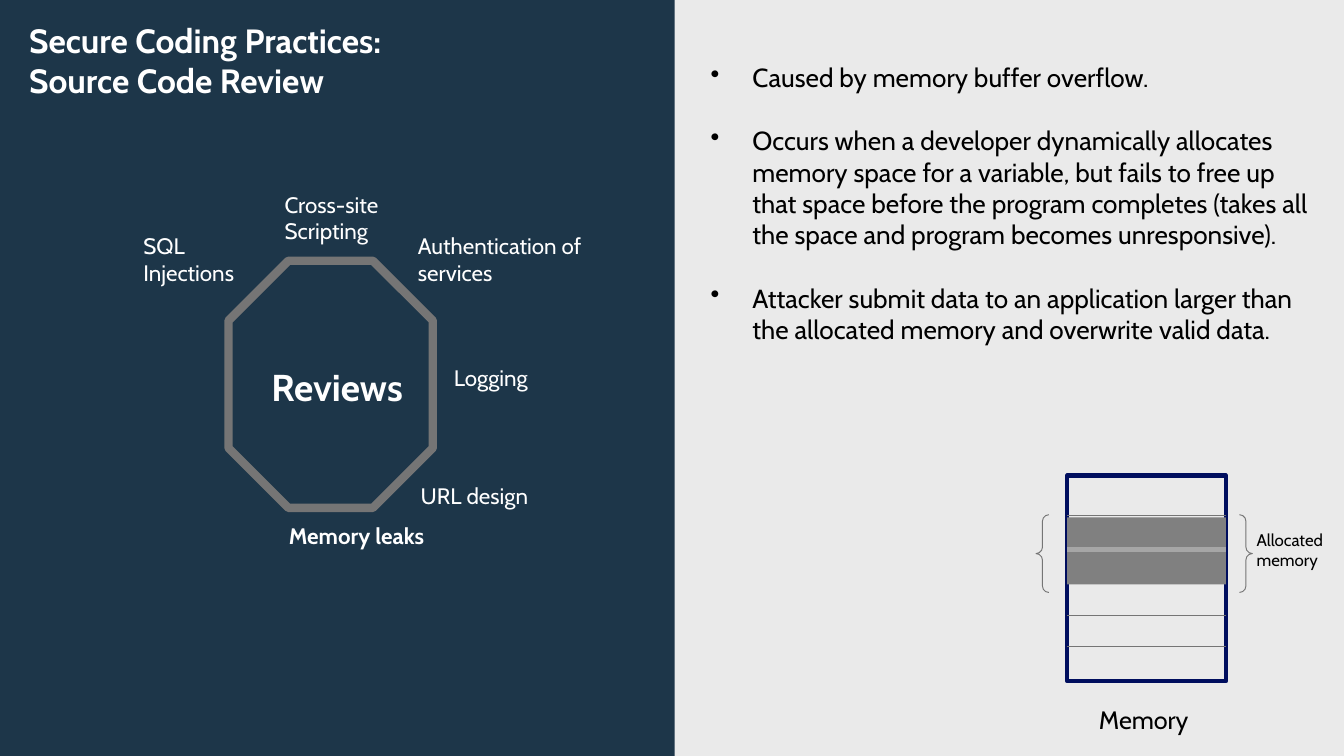
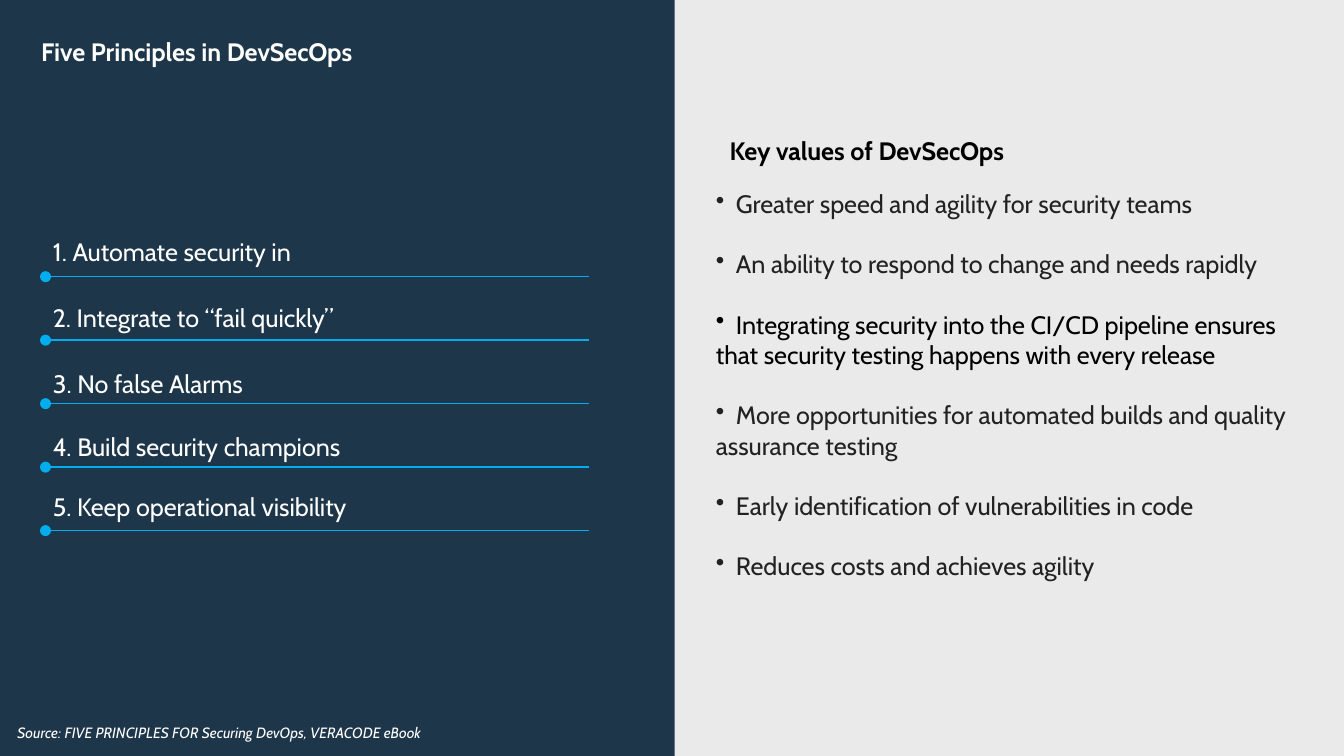
from lxml.etree import SubElement
from pptx import Presentation
from pptx.dml.color import RGBColor
from pptx.enum.shapes import MSO_CONNECTOR, MSO_SHAPE
from pptx.enum.text import MSO_ANCHOR, PP_ALIGN
from pptx.oxml.ns import qn
from pptx.util import Cm, Pt

FONT = "Cabin"
NAVY = RGBColor(0x1D, 0x36, 0x49)
PALE = RGBColor(0xEA, 0xEA, 0xEA)
WHITE = RGBColor(0xFF, 0xFF, 0xFF)
BLACK = RGBColor(0x00, 0x00, 0x00)
INK = RGBColor(0x22, 0x22, 0x22)
GREY = RGBColor(0x75, 0x75, 0x75)
BLOCK_GREY = RGBColor(0x80, 0x80, 0x80)
LIGHT_GREY = RGBColor(0xA6, 0xA6, 0xA6)
FRAME_BLUE = RGBColor(0x00, 0x0E, 0x5E)
CYAN = RGBColor(0x00, 0xAE, 0xEF)

SLIDE_W, SLIDE_H, PANEL_W = 25.4, 14.29, 12.75
MEMORY_X, MEMORY_W = 20.17, 3


def add_run(p, text, size, color, bold=False, italic=False):
    r = p.add_run()
    r.text = text
    r.font.name = FONT
    r.font.size = Pt(size)
    r.font.color.rgb = color
    r.font.bold = bold
    r.font.italic = italic


def add_frame(s, x, y, w, h, wrap=True):
    tf = s.shapes.add_textbox(Cm(x), Cm(y), Cm(w), Cm(h)).text_frame
    tf.word_wrap = wrap
    return tf


def add_text(s, x, y, w, h, text, size, color, bold=False, italic=False, wrap=True):
    tf = add_frame(s, x, y, w, h, wrap)
    add_run(tf.paragraphs[0], text, size, color, bold, italic)


def add_bullets(s, x, y, w, h, items, size, gap, hang=0, tab=0):
    tf = add_frame(s, x, y, w, h)
    for i, (text, color) in enumerate(items):
        p = tf.add_paragraph() if i else tf.paragraphs[0]
        if i:
            p.space_before = Pt(gap)
        pPr = p._p.get_or_add_pPr()
        pPr.set("marL", str(Cm(hang)))
        pPr.set("indent", str(-Cm(hang)))
        SubElement(pPr, qn("a:buChar"), char="•")
        if tab:
            tabs = SubElement(pPr, qn("a:tabLst"))
            SubElement(tabs, qn("a:tab"), pos=str(Cm(tab)), algn="l")
        add_run(p, "\t" + text if tab else text, size, color)


def add_box(s, kind, x, y, w, h, fill=None, line=None, width=1):
    sp = s.shapes.add_shape(kind, Cm(x), Cm(y), Cm(w), Cm(h))
    sp.shadow.inherit = False
    if fill is None:
        sp.fill.background()
    else:
        sp.fill.solid()
        sp.fill.fore_color.rgb = fill
    if line is None:
        sp.line.fill.background()
    else:
        sp.line.color.rgb = line
        sp.line.width = Pt(width)
    return sp


def add_rule(s, x, y, w, color, width, dot=False):
    rule = s.shapes.add_connector(MSO_CONNECTOR.STRAIGHT, Cm(x), Cm(y), Cm(x + w), Cm(y))
    rule.line.color.rgb = color
    rule.line.width = Pt(width)
    if dot:
        SubElement(rule.line._get_or_add_ln(), qn("a:headEnd"), type="oval")
    SubElement(rule._element.spPr, qn("a:effectLst"))


def add_split_slide(prs):
    s = prs.slides.add_slide(prs.slide_layouts[6])
    s.background.fill.solid()
    s.background.fill.fore_color.rgb = PALE
    return s, add_box(s, MSO_SHAPE.RECTANGLE, 0, 0, PANEL_W, SLIDE_H, NAVY)


def add_memory_diagram(s):
    add_box(s, MSO_SHAPE.RECTANGLE, MEMORY_X, 8.99, MEMORY_W, 3.89, line=FRAME_BLUE, width=2.25)
    for y in (9.75, 11.02, 11.63, 12.22):
        add_rule(s, MEMORY_X, y, MEMORY_W, GREY, 0.5)
    add_box(s, MSO_SHAPE.RECTANGLE, MEMORY_X, 9.78, MEMORY_W, 1.27, BLOCK_GREY)
    add_rule(s, MEMORY_X, 10.39, MEMORY_W, LIGHT_GREY, 3)
    add_text(s, 23.5, 9.88, 1.9, 1.02, "Allocated memory", 9, BLACK)
    add_box(s, MSO_SHAPE.DOUBLE_BRACE, 19.58, 9.73, 4.09, 1.47, line=GREY, width=0.5)
    add_text(s, 20.52, 13.18, 2.26, 0.84, "Memory", 13.5, BLACK, wrap=False)


def build_code_review(prs):
    s, panel = add_split_slide(prs)
    tf = panel.text_frame
    tf.vertical_anchor = MSO_ANCHOR.MIDDLE
    tf.margin_left = tf.margin_right = tf.margin_bottom = 0
    tf.margin_top = Cm(0.34)
    p = tf.paragraphs[0]
    p.alignment = PP_ALIGN.CENTER
    add_run(p, "Reviews", 20, WHITE, bold=True)

    add_text(s, 0.3, 0.25, 8.84, 1.8, "Secure Coding Practices: Source Code Review",
             18, WHITE, bold=True)
    review_topics = (
        (2.46, 4.27, 2.9, "SQL Injections", False),
        (5.13, 3.48, 2.9, "Cross-site Scripting", False),
        (7.65, 4.27, 3.73, "Authentication of services", False),
        (5.21, 9.75, 3.1, "Memory leaks", True),
        (7.7, 8.99, 2.57, "URL design", False),
        (8.33, 6.76, 3.73, "Logging", False),
    )
    for x, y, w, topic, bold in review_topics:
        add_text(s, x, y, w, 1.27, topic, 12, WHITE, bold)
    add_box(s, MSO_SHAPE.OCTAGON, 4.32, 4.93, 3.86, 4.67, line=GREY, width=4.5)

    leak_facts = (
        "Caused by memory buffer overflow.",
        "Occurs when a developer dynamically allocates memory space for a variable, "
        "but fails to free up that space before the program completes (takes all the "
        "space and program becomes unresponsive).",
        "Attacker submit data to an application larger than the allocated memory and "
        "overwrite valid data.",
    )
    add_bullets(s, 13.18, 1.04, 11.89, 6.83, [(fact, BLACK) for fact in leak_facts],
                14, 17, hang=0.79)
    add_memory_diagram(s)


def build_principles(prs):
    s, _ = add_split_slide(prs)
    add_text(s, 0.53, 0.56, 7.06, 0.84, "Five Principles in DevSecOps",
             13.5, WHITE, bold=True, wrap=False)
    principles = (
        (4.34, 5.51, "1. Automate security in"),
        (5.59, 6.73, "2. Integrate to “fail quickly”"),
        (6.83, 4.45, "3. No false Alarms"),
        (8.03, 6.48, "4. Build security champions"),
        (9.17, 6.65, "5. Keep operational visibility"),
    )
    for i, (y, w, principle) in enumerate(principles):
        add_rule(s, 0.86, 5.23 + 1.2 * i, 10.27, CYAN, 0.75, dot=True)
        add_text(s, 0.75, y, w, 0.84, principle, 13.5, WHITE, wrap=False)

    add_text(s, 13.54, 2.44, 6.2, 0.84, "Key values of DevSecOps",
             13.5, BLACK, bold=True, wrap=False)
    key_values = (
        ("Greater speed and agility for security teams", INK),
        ("An ability to respond to change and needs rapidly", INK),
        ("Integrating security into the CI/CD pipeline ensures that security testing "
         "happens with every release", BLACK),
        ("More opportunities for automated builds and quality assurance testing", INK),
        ("Early identification of vulnerabilities in code", INK),
        ("Reduces costs and achieves agility", INK),
    )
    add_bullets(s, 13.28, 3.43, 11.51, 8.33, key_values, 13.5, 16.2, tab=0.38)
    add_text(s, 0.08, 13.56, 10.24, 0.73,
             "Source: FIVE PRINCIPLES FOR Securing DevOps, VERACODE eBook",
             8, WHITE, italic=True)


def main():
    prs = Presentation()
    prs.slide_width = Cm(SLIDE_W)
    prs.slide_height = Cm(SLIDE_H)
    build_code_review(prs)
    build_principles(prs)
    prs.save("out.pptx")


if __name__ == "__main__":
    main()
